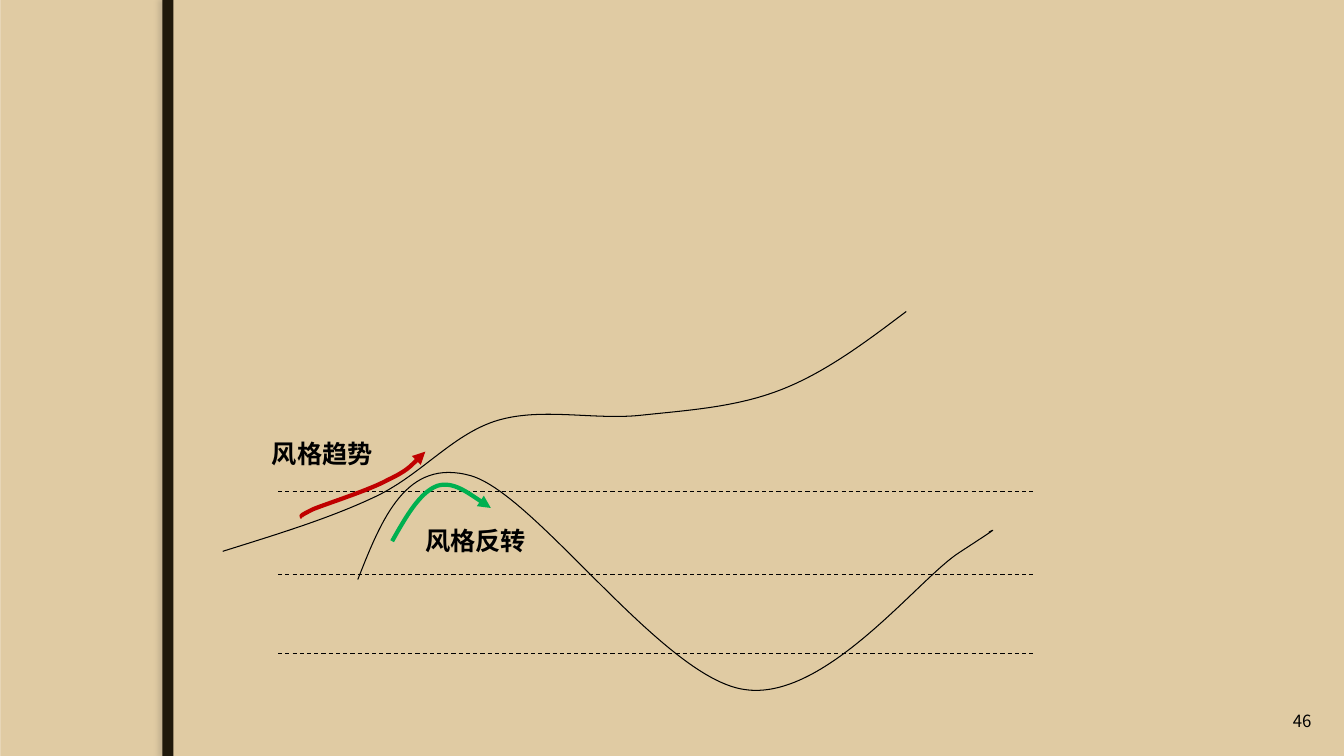
"""Build the slide contrasting a style trend with a style reversal."""
import dataclasses

import lxml.etree
import pptx
import pptx.dml.color
import pptx.enum.dml
import pptx.enum.shapes
import pptx.enum.text
import pptx.oxml.ns
import pptx.util

Pt = pptx.util.Pt
RGB = pptx.dml.color.RGBColor.from_string
qn = pptx.oxml.ns.qn


@dataclasses.dataclass(frozen=True)
class Theme:
    """Colours, fonts, type sizes and line widths of the slide."""
    backdrop: str = "EBDDC3"
    panel: str = "E0CBA3"
    bar: str = "20190B"
    bar_shadow: str = "766E60"
    ink: str = "000000"
    trend: str = "C00000"
    reversal: str = "00B050"
    label_font: str = "Arial"
    number_font: str = "Noto Sans CJK SC"
    label_size: float = 18
    number_size: float = 12
    thin: float = 0.75
    thick: float = 3


THEME = Theme()
WIDTH, HEIGHT = 960, 540
LEVELS = (351.2, 410.4, 466.6)
PRICE = [(159.1, 393.8), (198, 381.6), (236.2, 370.1), (269.3, 354.2),
         (301.7, 338.4), (324, 309.6), (355.7, 300.2), (387.4, 290.9),
         (424.8, 300.2), (457.9, 296.6), (491.8, 293), (525.6, 290.9),
         (557.3, 278.6), (589, 266.4), (617.8, 244.8), (647.3, 222.5)]
OSCILLATOR = [(255.6, 414), (272.9, 370.1), (290.2, 326.9), (336.2, 339.8),
              (382.3, 352.8), (473, 483.8), (531.4, 492.5), (589, 501.8),
              (655.9, 413.3), (685.4, 394.6), (714.2, 375.8), (710.6, 378),
              (706.3, 380.2)]
TREND_ARROW = [(216, 369.4), (214.6, 368.6), (213.8, 368.6), (223.9, 363.6),
               (234.7, 359.3), (264.2, 349.9), (277.2, 342.7), (290.9, 336.2),
               (297.4, 329), (303.8, 322.6)]
REVERSAL_ARROW = [(280.1, 386.6), (290.2, 368.6), (300.2, 351.4), (312.5, 347),
                  (324, 343.4), (350.6, 362.9), (350.6, 362.9)]


def apply(target, values):
    """Set each named attribute on the target."""
    for name, value in values.items():
        setattr(target, name, value)


def add_panel(slide, left, width, color):
    """Add a full-height rectangle without an outline."""
    panel = slide.shapes.add_shape(
        pptx.enum.shapes.MSO_SHAPE.RECTANGLE, Pt(left), 0, Pt(width), Pt(HEIGHT))
    panel.shadow.inherit = False
    panel.fill.solid()
    panel.fill.fore_color.rgb = RGB(color)
    panel.line.fill.background()
    return panel


def cast_shadow(panel, color):
    """Cast a soft shadow to the left of a panel."""
    effects = panel._element.spPr.find(qn("a:effectLst"))
    shadow = lxml.etree.SubElement(
        effects, qn("a:outerShdw"), blurRad=str(Pt(3)), dist=str(Pt(3)),
        dir="10800000", algn="ctr", rotWithShape="0")
    tint = lxml.etree.SubElement(shadow, qn("a:srgbClr"), val=color)
    lxml.etree.SubElement(tint, qn("a:alpha"), val="25000")


def add_curve(slide, points, color, width, arrow=False):
    """Add an open Bézier curve: a start, then three points per segment."""
    start, *rest = [(Pt(x), Pt(y)) for x, y in points]
    builder = slide.shapes.build_freeform(*start, scale=1.0)
    builder.add_line_segments(rest, close=False)
    curve = builder.convert_to_shape()
    curve.shadow.inherit = False
    curve.fill.background()
    apply(curve.line, {"width": Pt(width)})
    curve.line.color.rgb = RGB(color)
    outline = next(curve._element.iter(qn("a:path")))
    steps = outline.findall(qn("a:lnTo"))
    for first in range(0, len(steps), 3):
        segment = lxml.etree.SubElement(outline, qn("a:cubicBezTo"))
        for step in steps[first:first + 3]:
            segment.append(step[0])
            outline.remove(step)
    if arrow:
        lxml.etree.SubElement(
            curve.line._get_or_add_ln(), qn("a:tailEnd"), type="triangle")


def add_level(slide, y):
    """Add a dashed horizontal reference line."""
    level = slide.shapes.add_connector(
        pptx.enum.shapes.MSO_CONNECTOR.STRAIGHT, Pt(198.7), Pt(y), Pt(738.7), Pt(y))
    apply(level.line, {"width": Pt(THEME.thin),
                       "dash_style": pptx.enum.dml.MSO_LINE.DASH})
    level.line.color.rgb = RGB(THEME.ink)
    lxml.etree.SubElement(level._element.spPr, qn("a:effectLst"))


def add_text(slide, box, wording, frame_format, font_format, align):
    """Add a one-line text box."""
    frame = slide.shapes.add_textbox(*map(Pt, box)).text_frame
    apply(frame, frame_format)
    line = frame.paragraphs[0]
    line.alignment = align
    run = line.add_run()
    run.text = wording
    apply(run.font, font_format)
    run.font.color.rgb = RGB(THEME.ink)


def add_label(slide, left, top, wording):
    """Add a bold label that fits its text."""
    add_text(slide, (left, top, 87.8, 29), wording,
             {"word_wrap": False,
              "auto_size": pptx.enum.text.MSO_AUTO_SIZE.SHAPE_TO_FIT_TEXT},
             {"name": THEME.label_font, "size": Pt(THEME.label_size), "bold": True},
             pptx.enum.text.PP_ALIGN.LEFT)


def add_page_number(slide, number):
    """Add the page number at the bottom right."""
    add_text(slide, (720, 506.2, 223.9, 19.4), number,
             {"word_wrap": True,
              "vertical_anchor": pptx.enum.text.MSO_ANCHOR.BOTTOM},
             {"name": THEME.number_font, "size": Pt(THEME.number_size)},
             pptx.enum.text.PP_ALIGN.RIGHT)


def main():
    """Assemble and save the slide."""
    deck = pptx.Presentation()
    apply(deck, {"slide_width": Pt(WIDTH), "slide_height": Pt(HEIGHT)})
    slide = deck.slides.add_slide(deck.slide_layouts[6])
    slide.background.fill.solid()
    slide.background.fill.fore_color.rgb = RGB(THEME.backdrop)

    add_panel(slide, 0.5, WIDTH - 0.5, THEME.panel)
    cast_shadow(add_panel(slide, 115.9, 7.9, THEME.bar), THEME.bar_shadow)

    add_label(slide, 187.2, 309.6, "风格趋势")
    add_curve(slide, OSCILLATOR, THEME.ink, THEME.thin)
    for y in LEVELS:
        add_level(slide, y)
    add_curve(slide, TREND_ARROW, THEME.trend, THEME.thick, arrow=True)
    add_curve(slide, REVERSAL_ARROW, THEME.reversal, THEME.thick, arrow=True)
    add_label(slide, 296.6, 371.5, "风格反转")
    add_curve(slide, PRICE, THEME.ink, THEME.thin)
    add_page_number(slide, "46")
    deck.save("out.pptx")


if __name__ == "__main__":
    main()
